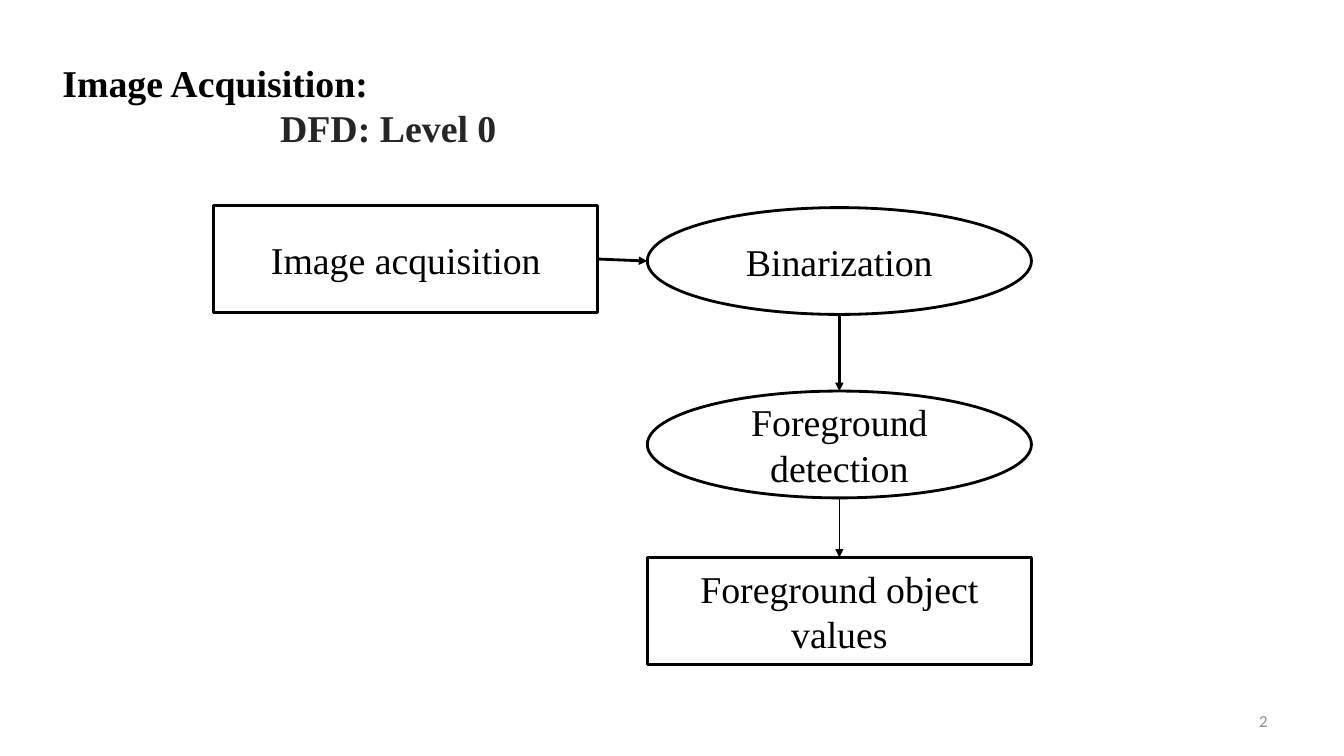
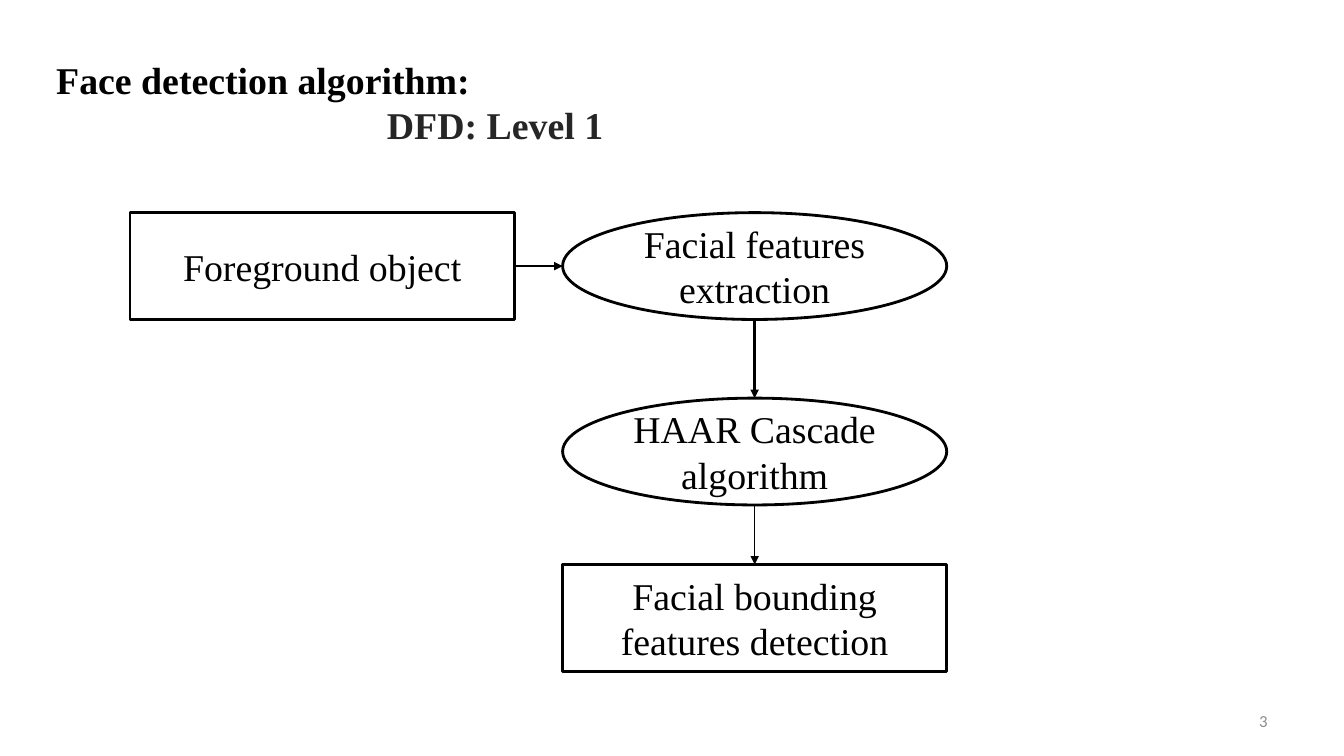
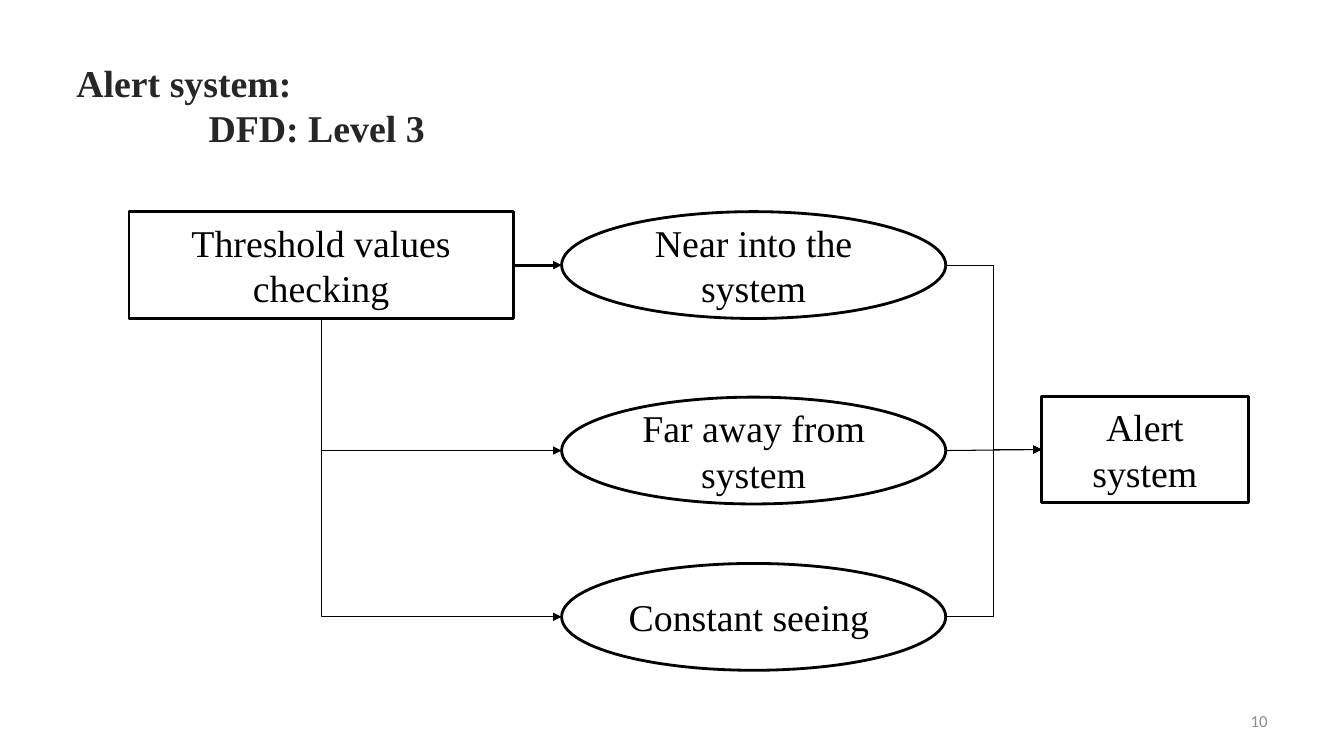
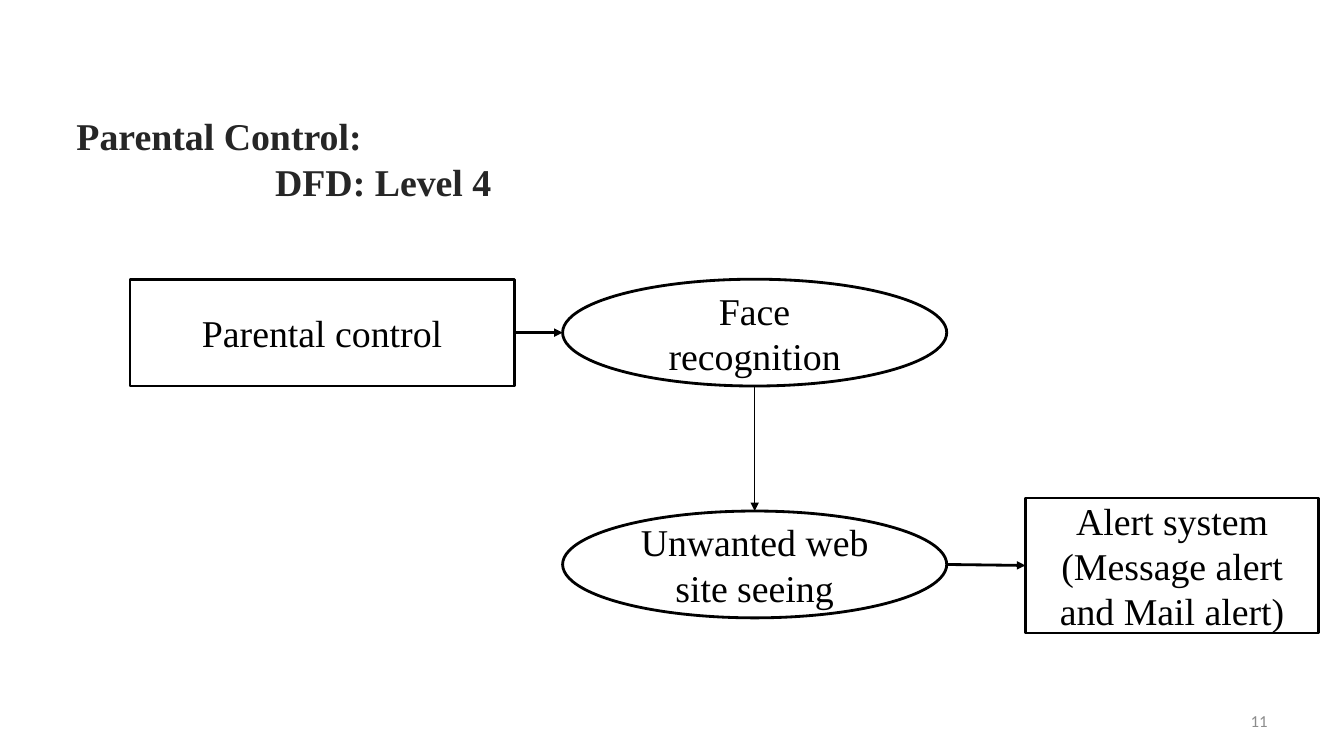
import dataclasses

import lxml.etree
import pptx
import pptx.dml.color
import pptx.enum.shapes
import pptx.enum.text
import pptx.oxml.ns
import pptx.util

Inches = pptx.util.Inches
Pt = pptx.util.Pt
qn = pptx.oxml.ns.qn
RGB = pptx.dml.color.RGBColor.from_string
ALIGN = pptx.enum.text.PP_ALIGN
ANCHOR = pptx.enum.text.MSO_ANCHOR
RECT = pptx.enum.shapes.MSO_SHAPE.RECTANGLE
OVAL = pptx.enum.shapes.MSO_SHAPE.OVAL
WIRE = pptx.enum.shapes.MSO_CONNECTOR
TOP, LEFT, BOTTOM, RIGHT = range(4)


@dataclasses.dataclass(frozen=True)
class Theme:
    ink: str = "000000"
    soft: str = "262626"
    grey: str = "8C8C8C"
    paper: str = "FFFFFF"
    serif: str = "Times New Roman"
    sans: str = "Calibri"
    body: float = 27
    small: float = 12
    thick: float = 2
    thin: float = 0.75


theme = Theme()
WIDE, HIGH = 3.81, 1.06


def say(frame, text, color=theme.ink, font=theme.serif, size=theme.body,
        bold=False, align=ALIGN.LEFT, anchor=ANCHOR.TOP, indent=0, more=False):
    """Write one paragraph; more=True adds it below the text already there."""
    frame.word_wrap = True
    frame.vertical_anchor = anchor
    para = frame.add_paragraph() if more else frame.paragraphs[0]
    para.alignment = align
    if indent:
        para._p.get_or_add_pPr().set("marL", str(Inches(indent)))
    run = para.add_run()
    run.text = text
    run.font.name = font
    run.font.size = Pt(size)
    run.font.bold = bold
    run.font.color.rgb = RGB(color)


def link(slide, start, out, end, into, width):
    """Draw an arrow from one side of a node to a side of another."""
    ends = []
    for node, side in ((start, out), (end, into)):
        midx, midy = node.left + node.width // 2, node.top + node.height // 2
        ends.append({TOP: (midx, node.top), LEFT: (node.left, midy),
                     BOTTOM: (midx, node.top + node.height),
                     RIGHT: (node.left + node.width, midy)}[side])
    (x1, y1), (x2, y2) = ends
    corner = (out, into) == (BOTTOM, LEFT)
    elbow = out == RIGHT and abs(y2 - y1) > Inches(0.1)
    if corner:
        # A corner that leaves downwards is the preset turned by 270 degrees.
        midx, midy = (x1 + x2) // 2, (y1 + y2) // 2
        dx, dy = (x2 - x1) // 2, (y2 - y1) // 2
        x1, y1, x2, y2 = midx + dy, midy - dx, midx - dy, midy + dx
    kind = WIRE.ELBOW if corner or elbow else WIRE.STRAIGHT
    wire = slide.shapes.add_connector(kind, x1, y1, x2, y2)
    props = wire.element.spPr
    if corner:
        props.find(qn("a:xfrm")).set("rot", str(270 * 60000))
        props.find(qn("a:prstGeom")).set("prst", "bentConnector2")
    elif not elbow:
        if start.auto_shape_type == RECT:
            wire.begin_connect(start, out)
        if end.auto_shape_type == RECT or into == TOP:
            wire.end_connect(end, into)
    wire.line.width = Pt(width)
    wire.line.color.rgb = RGB(theme.ink)
    lxml.etree.SubElement(props.find(qn("a:ln")), qn("a:tailEnd"), type="triangle")
    lxml.etree.SubElement(props, qn("a:effectLst"))


# Nodes: shape, text, left, top, and width and height where they differ.
# Links: start node, its side, end node, its side, line width.
pages = [
    dict(number=2, title="Image Acquisition:", color=theme.ink,
         level="DFD: Level 0", indent=2.16, at=(0.52, 0.54, 5.15, 1.23),
         nodes=[(RECT, "Image acquisition", 2.12, 2.04),
                (OVAL, "Binarization", 6.42, 2.06),
                (OVAL, "Foreground detection", 6.42, 3.88),
                (RECT, "Foreground object values", 6.42, 5.53)],
         links=[(0, RIGHT, 1, LEFT, theme.thick),
                (1, BOTTOM, 2, TOP, theme.thick),
                (2, BOTTOM, 3, TOP, theme.thin)]),
    dict(number=3, title="Face detection algorithm:", color=theme.ink,
         level="DFD: Level 1", indent=3.28, at=(0.46, 0.51, 6.13, 1.07),
         nodes=[(RECT, "Foreground object", 1.29, 2.11),
                (OVAL, "Facial features extraction", 5.58, 2.11),
                (OVAL, "HAAR Cascade algorithm", 5.58, 3.95),
                (RECT, "Facial bounding features detection", 5.58, 5.6)],
         links=[(0, RIGHT, 1, LEFT, theme.thick),
                (1, BOTTOM, 2, TOP, theme.thick),
                (2, BOTTOM, 3, TOP, theme.thin)]),
    dict(number=10, title="Alert system:", color=theme.soft,
         level="DFD: Level 3", indent=1.31, at=(0.66, 0.54, 5.09, 1.13),
         nodes=[(RECT, "Threshold values checking", 1.28, 2.1),
                (OVAL, "Near into the system", 5.57, 2.1),
                (OVAL, "Far away from system", 5.57, 3.94),
                (OVAL, "Constant seeing ", 5.57, 5.59),
                (RECT, "Alert system", 10.33, 3.93, 2.05, HIGH)],
         links=[(0, RIGHT, 1, LEFT, theme.thick),
                (0, BOTTOM, 2, LEFT, theme.thin),
                (0, BOTTOM, 3, LEFT, theme.thin),
                (3, RIGHT, 4, LEFT, theme.thin),
                (2, RIGHT, 4, LEFT, theme.thin),
                (1, RIGHT, 4, LEFT, theme.thin)]),
    dict(number=11, title="Parental Control:", color=theme.soft,
         level="DFD: Level 4", indent=1.97, at=(0.66, 1.07, 4.52, 0.96),
         nodes=[(RECT, "Parental control", 1.29, 2.77),
                (OVAL, "Face recognition", 5.58, 2.77),
                (OVAL, "Unwanted web site seeing", 5.58, 5.07),
                (RECT, "Alert system (Message alert and Mail alert)",
                 10.17, 4.94, 2.91, 1.34)],
         links=[(0, RIGHT, 1, LEFT, theme.thick),
                (1, BOTTOM, 2, TOP, theme.thin),
                (2, RIGHT, 3, LEFT, theme.thick)]),
]

deck = pptx.Presentation()
deck.slide_width, deck.slide_height = Inches(13.33), Inches(7.5)

for page in pages:
    slide = deck.slides.add_slide(deck.slide_layouts[6])
    slide.background.fill.solid()
    slide.background.fill.fore_color.rgb = RGB(theme.paper)

    foot = slide.shapes.add_textbox(*map(Inches, (9.56, 6.95, 3.11, 0.4)))
    say(foot.text_frame, str(page["number"]), color=theme.grey, font=theme.sans,
        size=theme.small, align=ALIGN.RIGHT, anchor=ANCHOR.MIDDLE)

    nodes = []
    for kind, text, left, top, *size in page["nodes"]:
        box = map(Inches, (left, top, *(size or (WIDE, HIGH))))
        node = slide.shapes.add_shape(kind, *box)
        node.shadow.inherit = False
        node.fill.solid()
        node.fill.fore_color.rgb = RGB(theme.paper)
        node.line.color.rgb = RGB(theme.ink)
        node.line.width = Pt(theme.thick)
        say(node.text_frame, text, align=ALIGN.CENTER, anchor=ANCHOR.MIDDLE)
        nodes.append(node)

    for start, out, end, into, width in page["links"]:
        link(slide, nodes[start], out, nodes[end], into, width)

    head = slide.shapes.add_textbox(*map(Inches, page["at"])).text_frame
    say(head, page["title"], color=page["color"], bold=True)
    say(head, page["level"], color=theme.soft, bold=True,
        indent=page["indent"], more=True)

deck.save("out.pptx")
